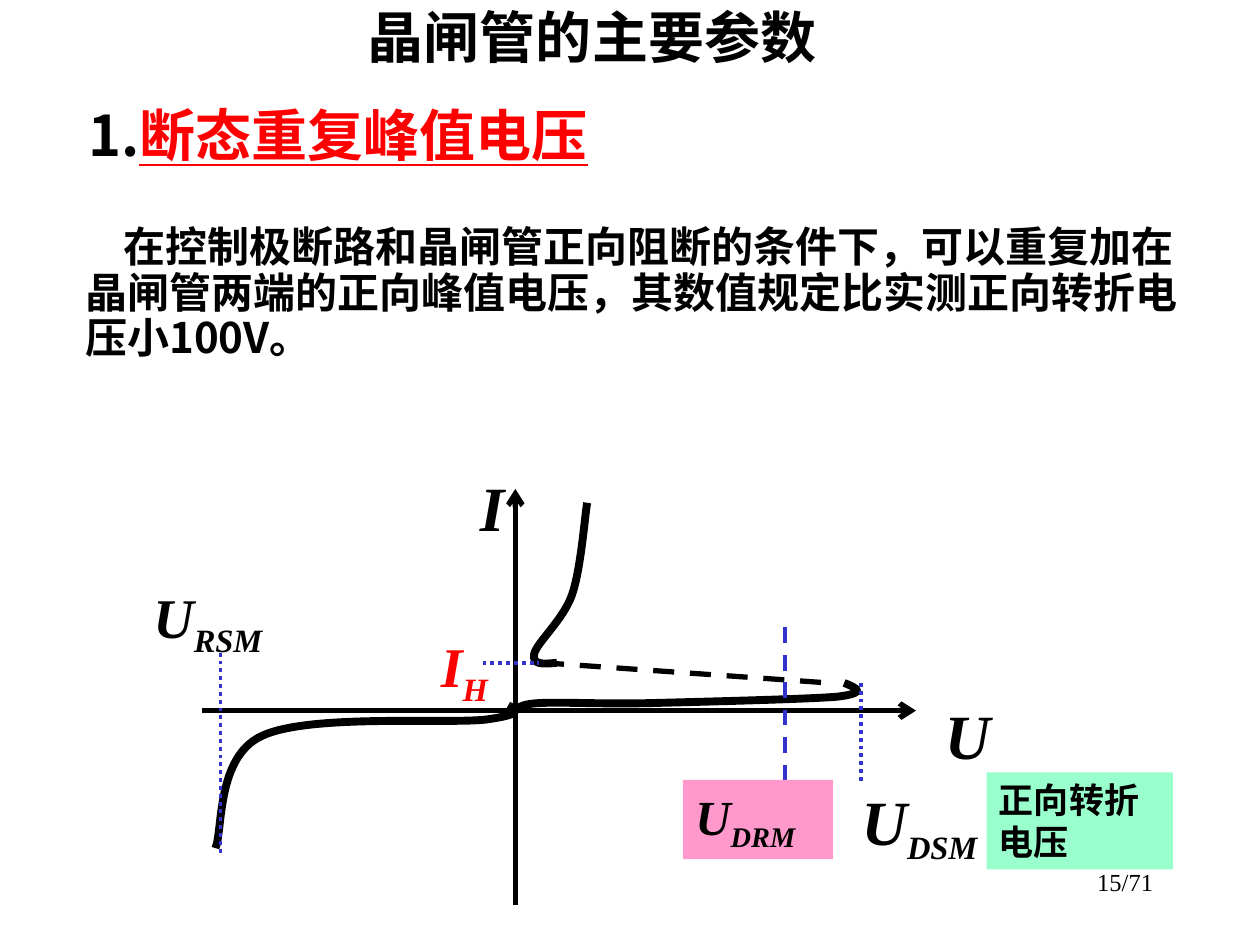
from lxml import etree
from pptx import Presentation
from pptx.dml.color import RGBColor
from pptx.enum.dml import MSO_LINE
from pptx.enum.shapes import MSO_CONNECTOR, MSO_SHAPE
from pptx.enum.text import MSO_ANCHOR, PP_ALIGN
from pptx.oxml.ns import qn
from pptx.util import Inches, Pt

STRAIGHT, RECTANGLE = MSO_CONNECTOR.STRAIGHT, MSO_SHAPE.RECTANGLE
DASH, DOT = MSO_LINE.DASH, MSO_LINE.ROUND_DOT
TOP, MIDDLE = MSO_ANCHOR.TOP, MSO_ANCHOR.MIDDLE
LEFT, CENTER, RIGHT, JUSTIFY = PP_ALIGN.LEFT, PP_ALIGN.CENTER, PP_ALIGN.RIGHT, PP_ALIGN.JUSTIFY

CJK, SERIF = "Noto Sans CJK SC", "Times New Roman"
COLORS = {"ink": "000000", "accent": "FF0000", "guide": "3333CC",
          "breakover": "99FFCC", "rated": "FF99CC"}

TITLE = "晶闸管的主要参数"
NUMBER, PARAMETER = "1.", "断态重复峰值电压"
DEFINITION = ("在控制极断路和晶闸管正向阻断的条件下，可以重复加在晶闸管两端的正向峰值电压，"
              "其数值规定比实测正向转折电压小100V。")
PAGE = "15/71"

REVERSE_TILT = -4.2
REVERSE_CURVE = [(4.07, 5.68), (4.13, 5.72), (4.2, 5.76), (3.88, 5.78), (3.55, 5.79),
                 (2.48, 5.63), (2.1, 5.78), (1.73, 5.92), (1.74, 6.5), (1.67, 6.64)]
ON_CURVE = [(4.42, 5.26), (4.32, 5.27), (4.22, 5.28), (4.24, 5.19), (4.26, 5.1),
            (4.47, 4.92), (4.54, 4.72), (4.61, 4.52), (4.64, 4.11), (4.66, 3.99)]
BLOCKING_CURVE = [(6.7, 5.42), (6.8, 5.46), (6.89, 5.5), (6.64, 5.53), (6.38, 5.55),
                  (5.57, 5.57), (5.17, 5.58), (4.78, 5.59), (4.46, 5.57), (4.28, 5.58),
                  (4.1, 5.59), (4.12, 5.63), (4.09, 5.63)]
CURVES = [(REVERSE_CURVE, REVERSE_TILT), (ON_CURVE, 0), (BLOCKING_CURVE, 0)]

LINES = [
    ((4.31, 5.26), (6.57, 5.42), "ink", 3, DASH, False),
    ((4.09, 7.18), (4.09, 3.88), "ink", 3, None, True),
    ((1.6, 5.64), (7.27, 5.64), "ink", 3, None, True),
    ((3.83, 5.26), (4.28, 5.26), "guide", 2.25, DOT, False),
    ((6.83, 5.42), (6.83, 6.22), "guide", 2.25, DOT, False),
    ((1.75, 5.18), (1.75, 6.77), "guide", 2.25, DOT, False),
    ((6.23, 4.98), (6.23, 6.23), "guide", 2.25, DASH, False),
]
SYMBOLS = [
    ((7.4, 5.48, 0.51, 0.7), "U", "", 36, 36, "ink"),
    ((3.71, 3.67, 0.39, 0.7), "I", "", 36, 36, "ink"),
    ((3.4, 4.96, 0.57, 0.71), "I", "H", 32, 32, "accent"),
    ((6.74, 6.16, 1.11, 0.77), "U", "DSM", 36, 32, "ink"),
    ((1.12, 4.57, 1.06, 0.71), "U", "RSM", 32, 32, "ink"),
]
BREAKOVER = ((7.83, 6.13, 1.48, 0.77), "正向转折电压")
RATED = ((5.42, 6.19, 1.19, 0.63), "U", "DRM", 28, 28, "ink")


def rgb(name):
    return RGBColor.from_string(COLORS[name])


def inches(values):
    return [Inches(value) for value in values]


def style(paragraph, size, face=CJK, color="ink", bold=True, italic=False, align=LEFT):
    paragraph.alignment = align
    font = paragraph.font
    font.size, font.bold, font.italic, font.name = Pt(size), bold, italic, face
    font.color.rgb = rgb(color)
    defaults = paragraph._p.pPr.find(qn("a:defRPr"))
    etree.SubElement(defaults, qn("a:ea"), typeface=CJK)


def add_run(paragraph, text):
    run = paragraph.add_run()
    run.text = text
    return run


def add_box(shapes, box):
    frame = shapes.add_textbox(*inches(box)).text_frame
    frame.word_wrap = True
    return frame


def add_panel(shapes, box, color):
    panel = shapes.add_shape(RECTANGLE, *inches(box))
    panel.shadow.inherit = False
    panel.fill.solid()
    panel.fill.fore_color.rgb = rgb(color)
    panel.line.fill.background()
    panel.text_frame.word_wrap = True
    panel.text_frame.vertical_anchor = TOP
    return panel.text_frame


def write_symbol(frame, symbol, subscript, size, subscript_size, color):
    frame.margin_right = 0
    paragraph = frame.paragraphs[0]
    style(paragraph, size, SERIF, color, italic=True)
    add_run(paragraph, symbol)
    if subscript:
        font = add_run(paragraph, subscript).font
        if subscript_size != size:
            font.size = Pt(subscript_size)
        font._element.set("baseline", "-25000")


def add_line(shapes, start, end, color, width, dash, arrow):
    connector = shapes.add_connector(STRAIGHT, *inches(start + end))
    line = connector.line
    line.color.rgb, line.width = rgb(color), Pt(width)
    if dash:
        line.dash_style = dash
    if arrow:
        etree.SubElement(line._get_or_add_ln(), qn("a:tailEnd"), type="arrow")
    etree.SubElement(connector._element.spPr, qn("a:effectLst"))


def add_curve(shapes, points, tilt):
    start, *controls = [inches(point) for point in points]
    builder = shapes.build_freeform(*start)
    builder.add_line_segments(controls, close=False)
    curve = builder.convert_to_shape()
    outline = next(curve._element.iter(qn("a:path")))
    segments = outline.findall(qn("a:lnTo"))
    for first in range(0, len(segments), 3):
        bezier = etree.SubElement(outline, qn("a:cubicBezTo"))
        for segment in segments[first:first + 3]:
            bezier.append(segment[0])
            outline.remove(segment)
    curve.rotation = tilt
    curve.shadow.inherit = False
    curve.fill.background()
    curve.line.color.rgb, curve.line.width = rgb("ink"), Pt(4.5)


def add_characteristic(slide):
    shapes = slide.shapes.add_group_shape().shapes
    for points, tilt in CURVES:
        add_curve(shapes, points, tilt)
    for line in LINES:
        add_line(shapes, *line)
    for box, *symbol in SYMBOLS:
        write_symbol(add_box(shapes, box), *symbol)
    box, label = BREAKOVER
    paragraph = add_panel(shapes, box, "breakover").paragraphs[0]
    style(paragraph, 20, SERIF)
    add_run(paragraph, label)
    box, *symbol = RATED
    write_symbol(add_panel(shapes, box, "rated"), *symbol)


def main():
    """Build the slide on the thyristor's repetitive peak off-state voltage."""
    deck = Presentation()
    deck.slide_width, deck.slide_height = Inches(10), Inches(7.5)
    slide = deck.slides.add_slide(deck.slide_layouts[5])

    title = slide.shapes.title
    title.left, title.top, title.width, title.height = inches((0.5, 0, 8.5, 0.58))
    title.text_frame.text = TITLE
    title.text_frame.vertical_anchor = MIDDLE
    title.text_frame.margin_right = Inches(0.2)
    style(title.text_frame.paragraphs[0], 32, align=CENTER)

    heading = add_box(slide.shapes, (0.5, 0.75, 9, 0.75))
    heading.margin_left = Inches(0.2)
    paragraph = heading.paragraphs[0]
    style(paragraph, 32, align=JUSTIFY)
    add_run(paragraph, NUMBER)
    parameter = add_run(paragraph, PARAMETER).font
    parameter.underline = True
    parameter.color.rgb = rgb("accent")

    add_characteristic(slide)

    paragraph = add_box(slide.shapes, (0.58, 1.75, 9, 1.63)).paragraphs[0]
    paragraph.line_spacing = 0.9
    style(paragraph, 24)
    paragraph._p.pPr.set("indent", str(Inches(0.3)))
    add_run(paragraph, DEFINITION)

    paragraph = add_box(slide.shapes, (7.17, 6.83, 2.08, 0.5)).paragraphs[0]
    style(paragraph, 14, SERIF, bold=False, align=RIGHT)
    add_run(paragraph, PAGE)

    deck.save("out.pptx")


if __name__ == "__main__":
    main()
